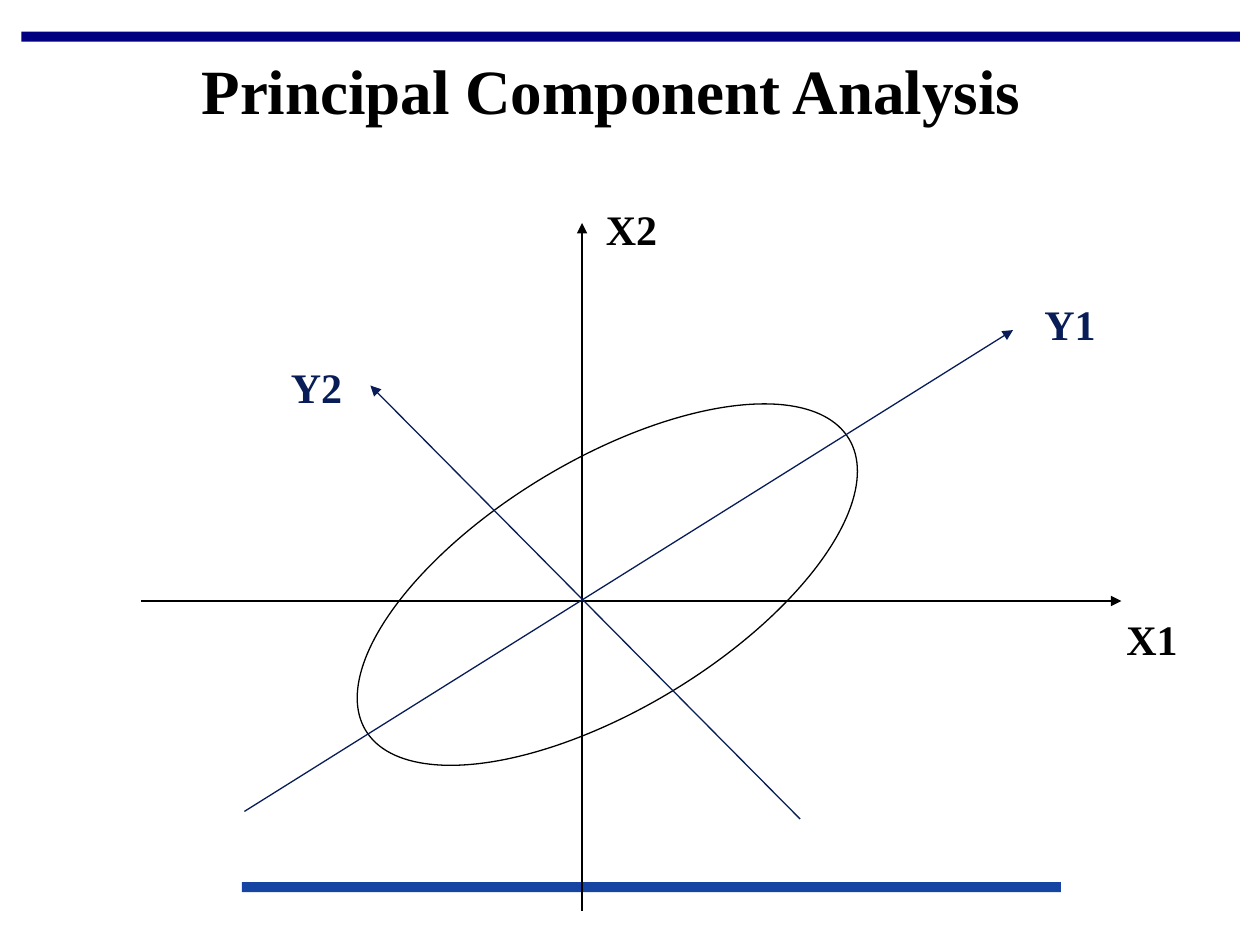
from lxml import etree
from pptx import Presentation
from pptx.dml.color import RGBColor
from pptx.enum.shapes import MSO_CONNECTOR, MSO_SHAPE
from pptx.enum.text import MSO_ANCHOR, MSO_AUTO_SIZE, PP_ALIGN
from pptx.oxml.ns import qn
from pptx.util import Inches, Pt

STRAIGHT = MSO_CONNECTOR.STRAIGHT
RECTANGLE, OVAL = MSO_SHAPE.RECTANGLE, MSO_SHAPE.OVAL
TOP, LEFT = MSO_ANCHOR.TOP, PP_ALIGN.LEFT
NO_AUTOFIT = MSO_AUTO_SIZE.NONE

BLACK = RGBColor(0x00, 0x00, 0x00)
NAVY = RGBColor(0x00, 0x00, 0x80)
BLUE = RGBColor(0x15, 0x44, 0xA3)
DARK_BLUE = RGBColor(0x08, 0x1D, 0x58)
AXIS_WIDTH = Pt(0.75)


def write_text(shape, text, size, color=BLACK, wrap=False):
    frame = shape.text_frame
    frame.auto_size = NO_AUTOFIT
    frame.word_wrap = wrap
    frame.vertical_anchor = TOP
    paragraph = frame.paragraphs[0]
    paragraph.alignment = LEFT
    run = paragraph.add_run()
    run.text = text
    run.font.name = "Times New Roman"
    run.font.size = Pt(size)
    run.font.bold = True
    run.font.color.rgb = color


presentation = Presentation()
presentation.slide_width = Inches(10)
presentation.slide_height = Inches(7.5)
slide = presentation.slides.add_slide(presentation.slide_layouts[5])

title = slide.shapes.title
title.left, title.top = Inches(1.5), Inches(0.36)
title.width, title.height = Inches(7.33), Inches(0.7)
write_text(title, "Principal Component Analysis", 36, wrap=True)

# Decorative bars above the title and below the diagram
for left, top, width, color in [(0.17, 0.25, 9.67, NAVY), (1.92, 7, 6.5, BLUE)]:
    bar = slide.shapes.add_shape(
        RECTANGLE, Inches(left), Inches(top), Inches(width), Inches(0.08))
    bar.shadow.inherit = False
    bar.fill.solid()
    bar.fill.fore_color.rgb = color
    bar.line.fill.background()

# Outline of the data cloud, tilted along Y1
ellipse = slide.shapes.add_shape(
    OVAL, Inches(2.58), Inches(3.65), Inches(4.48), Inches(1.98))
ellipse.rotation = 328.9
ellipse.shadow.inherit = False
ellipse.fill.background()
ellipse.line.color.rgb = BLACK
ellipse.line.width = AXIS_WIDTH

# Each axis: name, start, arrow tip, label corner, colour
axes = [
    ("X1", (1.12, 4.77), (8.9, 4.77), (8.84, 4.82), BLACK),
    ("X2", (4.62, 7.23), (4.62, 1.77), (4.71, 1.57), BLACK),
    ("Y1", (1.94, 6.44), (8.04, 2.62), (8.19, 2.32), DARK_BLUE),
    ("Y2", (6.35, 6.5), (2.94, 3.06), (2.21, 2.82), DARK_BLUE),
]
for name, start, tip, corner, color in axes:
    axis = slide.shapes.add_connector(STRAIGHT, *map(Inches, start + tip))
    axis.line.color.rgb = color
    axis.line.width = AXIS_WIDTH
    etree.SubElement(axis.line._get_or_add_ln(), qn("a:tailEnd"), type="triangle")
    etree.SubElement(axis._element.spPr, qn("a:effectLst"))

    label = slide.shapes.add_textbox(*map(Inches, corner + (0.61, 0.5)))
    write_text(label, name, 24, color=color)

presentation.save("out.pptx")
